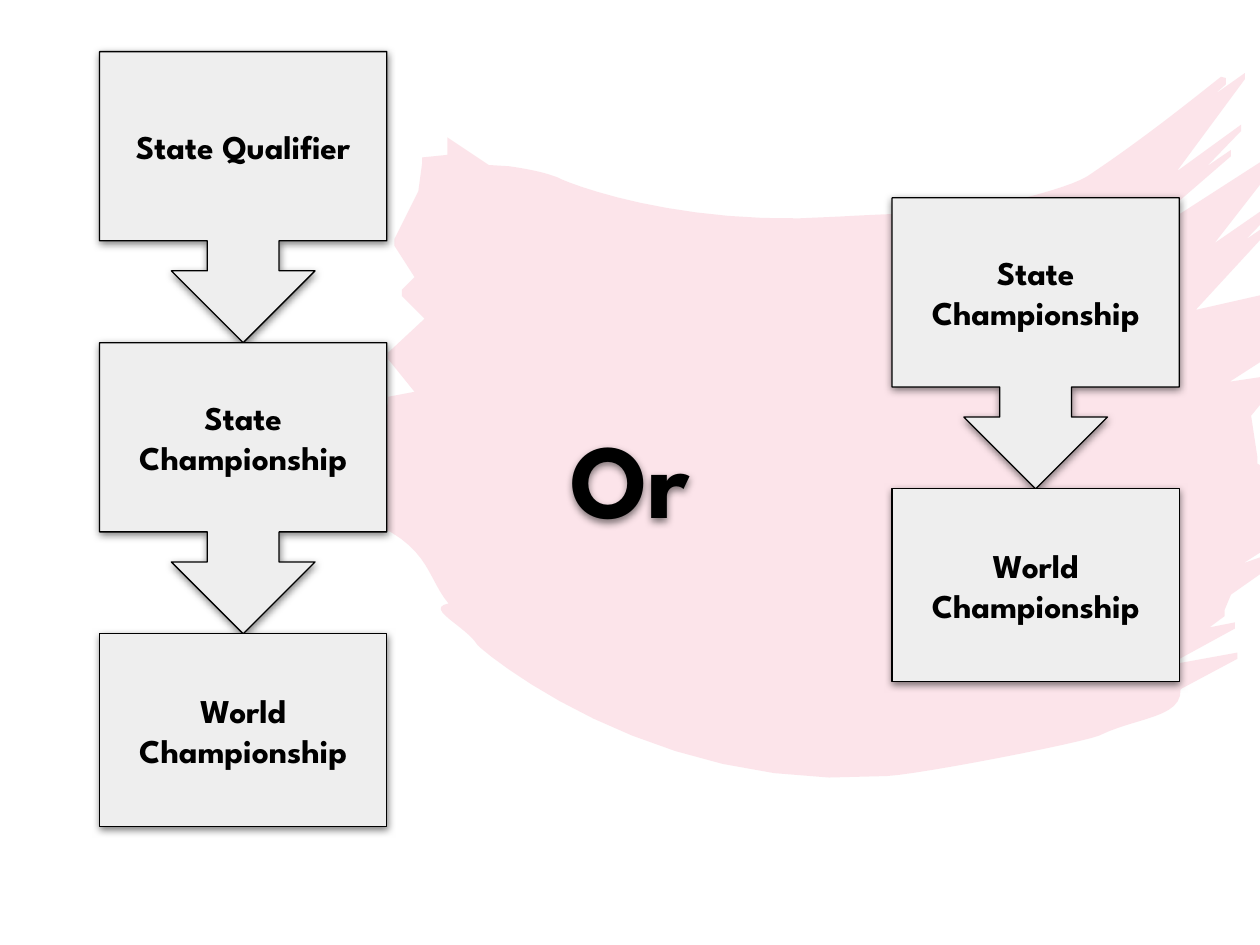
"""Build a slide comparing two routes to the world championship."""
import pptx
import pptx.util
import pptx.dml.color
import pptx.enum.shapes
import pptx.enum.text
import pptx.oxml
from pptx.util import Inches

FONT = "League Spartan"
BLACK, GREY, PINK = "000000", "EEEEEE", "F07C98"
NS = 'xmlns:a="http://schemas.openxmlformats.org/drawingml/2006/main"'

ROUTES = [
    (0.79, 0.41, ["State Qualifier", "State Championship", "World Championship"]),
    (7.08, 1.57, ["State Championship", "World Championship"]),
]
STEP_WIDTH, STEP_HEIGHT, LAST_HEIGHT = 2.28, 2.31, 1.53
CALLOUT_RATIOS = (0.25, 0.25, 0.25, 0.65)

# Each curve is start, two control points, end; each bristle is tip, notch.
TOP_CURVES = [
    ((4.04, 1.32), (4.25, 1.35), (4.35, 1.38), (4.43, 1.41)),
    ((4.43, 1.41), (4.47, 1.44), (5.39, 1.81), (6.65, 1.72)),
    ((6.65, 1.72), (7.16, 1.69), (7.54, 1.69), (7.69, 1.67)),
    ((7.69, 1.67), (7.82, 1.65), (8.45, 1.51), (8.63, 1.4)),
    ((8.63, 1.4), (9, 1.15), (9.25, 0.96), (9.69, 0.61)),
]
RIGHT_BRISTLES = [
    ((9.73, 0.62), (9.64, 0.75)), ((9.88, 0.58), (9.34, 1.36)),
    ((9.85, 0.99), (9.58, 1.32)), ((9.77, 1.19), (8.88, 2.01)),
    ((10.2, 1.16), (9.64, 1.93)), ((10.16, 1.57), (9.89, 1.9)),
    ((10.08, 1.77), (9.49, 2.46)), ((10.24, 2.29), (10.21, 2.4)),
    ((10.32, 2.62), (9.76, 3.03)), ((10.16, 2.97), (9.93, 3.3)),
    ((9.98, 3.63), (10.05, 3.72)), ((10.46, 3.86), (10.15, 4.04)),
    ((10.48, 4.03), (9.87, 4.47)), ((10.24, 4.34), (9.77, 4.72)),
    ((9.72, 4.84), (9.6, 4.98)), ((9.8, 4.94), (9.27, 5.28)),
    ((9.82, 5.18), (9.37, 5.47)),
]
BOTTOM_CURVES = [
    ((9.37, 5.47), (9.38, 5.7), (9.03, 5.69), (8.72, 5.84)),
    ((8.72, 5.84), (8.56, 5.9), (7.34, 6.14), (7.04, 6.16)),
    ((7.04, 6.16), (5.15, 6.31), (3.8, 5.14), (3.79, 5.12)),
    ((3.79, 5.12), (3.7, 4.97), (3.36, 4.83), (3.56, 4.79)),
    ((3.56, 4.79), (3.4, 4.6), (3.41, 4.37), (3.02, 4.18)),
]
LEFT_BRISTLES = [
    ((2.84, 3.8), (2.98, 3.43)), ((3.08, 3.2), (3.29, 3.11)),
    ((3.08, 2.85), (3.37, 2.53)), ((3.19, 2.35), (3.29, 2.2)),
    ((3.13, 1.95), (3.32, 1.52)), ((3.35, 1.3), (3.55, 1.23)),
    ((3.55, 1.14), (3.88, 1.31)),
]
CURVE_STEPS, BRISTLE_BLUNTNESS = 12, 0.05


def color(value):
    return pptx.dml.color.RGBColor.from_string(value)


def trace_curves(curves):
    points = []
    for curve in curves:
        for step in range(CURVE_STEPS + 1):
            t = step / CURVE_STEPS
            weights = ((1 - t) ** 3, 3 * t * (1 - t) ** 2, 3 * t ** 2 * (1 - t), t ** 3)
            points.append(tuple(sum(weight * point[axis] for weight, point in zip(weights, curve))
                                for axis in (0, 1)))
    return points


def trace_bristles(bristles, bluntness):
    points = []
    for (x, y), notch in bristles:
        points += [(x, y), (x, y + bluntness), notch]
    return points


def add_shadow(shape):
    shape.shadow.inherit = False
    effects = shape._element.spPr.find(pptx.oxml.ns.qn("a:effectLst"))
    effects.append(pptx.oxml.parse_xml(
        f'<a:outerShdw {NS} blurRad="{pptx.util.Pt(4.5)}" dist="{pptx.util.Pt(1.5)}" '
        f'dir="5400000" algn="bl" rotWithShape="0"><a:srgbClr val="{BLACK}">'
        '<a:alpha val="50000"/></a:srgbClr></a:outerShdw>'))


def write(shape, text, size):
    frame = shape.text_frame
    frame.word_wrap = True
    frame.vertical_anchor = pptx.enum.text.MSO_ANCHOR.MIDDLE
    frame.margin_left = frame.margin_right = Inches(0.1)
    frame.margin_top = frame.margin_bottom = Inches(0.1)
    para = frame.paragraphs[0]
    para.text = text
    para.alignment = pptx.enum.text.PP_ALIGN.CENTER
    para.font.name = FONT
    para.font.size = pptx.util.Pt(size)
    para.font.bold = True
    para.font.color.rgb = color(BLACK)


def add_brush(page):
    outline = (trace_curves(TOP_CURVES)
               + trace_bristles(RIGHT_BRISTLES, BRISTLE_BLUNTNESS)
               + trace_curves(BOTTOM_CURVES)
               + trace_bristles(LEFT_BRISTLES, -BRISTLE_BLUNTNESS))
    start, *rest = [(Inches(x), Inches(y)) for x, y in outline]
    builder = page.shapes.build_freeform(*start)
    builder.add_line_segments(rest)
    brush = builder.convert_to_shape()
    brush.shadow.inherit = False
    brush.line.fill.background()
    brush.fill.solid()
    brush.fill.fore_color.rgb = color(PINK)
    tint = brush._element.spPr.find(".//" + pptx.oxml.ns.qn("a:srgbClr"))
    tint.append(pptx.oxml.parse_xml(f'<a:alpha {NS} val="20000"/>'))


def add_step(page, left, top, text, is_last):
    kinds = pptx.enum.shapes.MSO_SHAPE
    kind = kinds.RECTANGLE if is_last else kinds.DOWN_ARROW_CALLOUT
    height = LAST_HEIGHT if is_last else STEP_HEIGHT
    step = page.shapes.add_shape(
        kind, Inches(left), Inches(top), Inches(STEP_WIDTH), Inches(height))
    if not is_last:
        for index, ratio in enumerate(CALLOUT_RATIOS):
            step.adjustments[index] = ratio
    step.fill.solid()
    step.fill.fore_color.rgb = color(GREY)
    step.line.color.rgb = color(BLACK)
    step.line.width = pptx.util.Pt(0.75)
    add_shadow(step)
    write(step, text, 19)


def main():
    deck = pptx.Presentation()
    deck.slide_width, deck.slide_height = Inches(10), Inches(7.5)
    page = deck.slides.add_slide(deck.slide_layouts[6])
    add_brush(page)
    for left, top, steps in ROUTES:
        for index, text in enumerate(steps):
            add_step(page, left, top + index * STEP_HEIGHT, text, index == len(steps) - 1)
    box = page.shapes.add_textbox(Inches(4.24), Inches(3.24), Inches(1.52), Inches(1.09))
    add_shadow(box)
    write(box, "Or", 60)
    deck.save("out.pptx")


if __name__ == "__main__":
    main()
